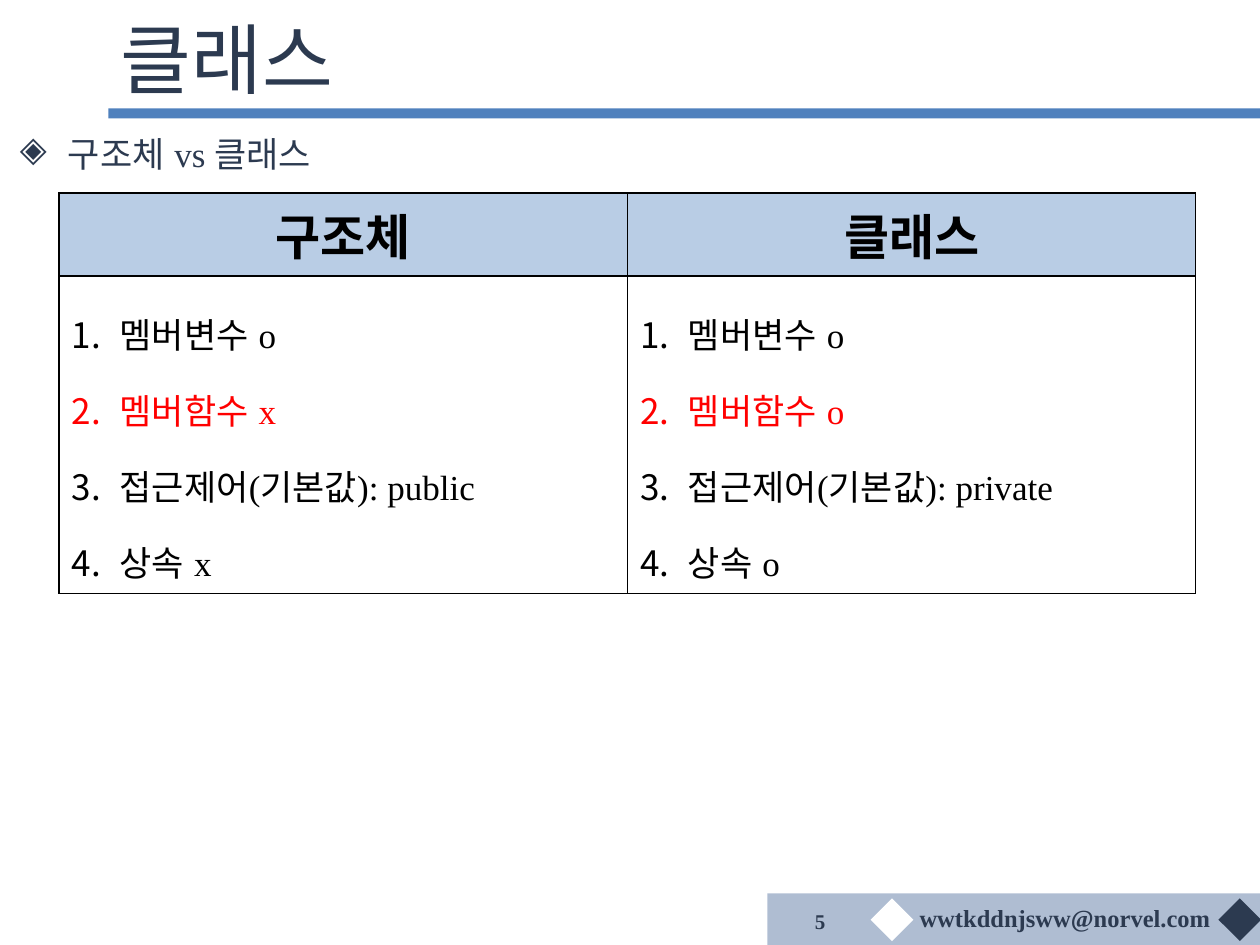
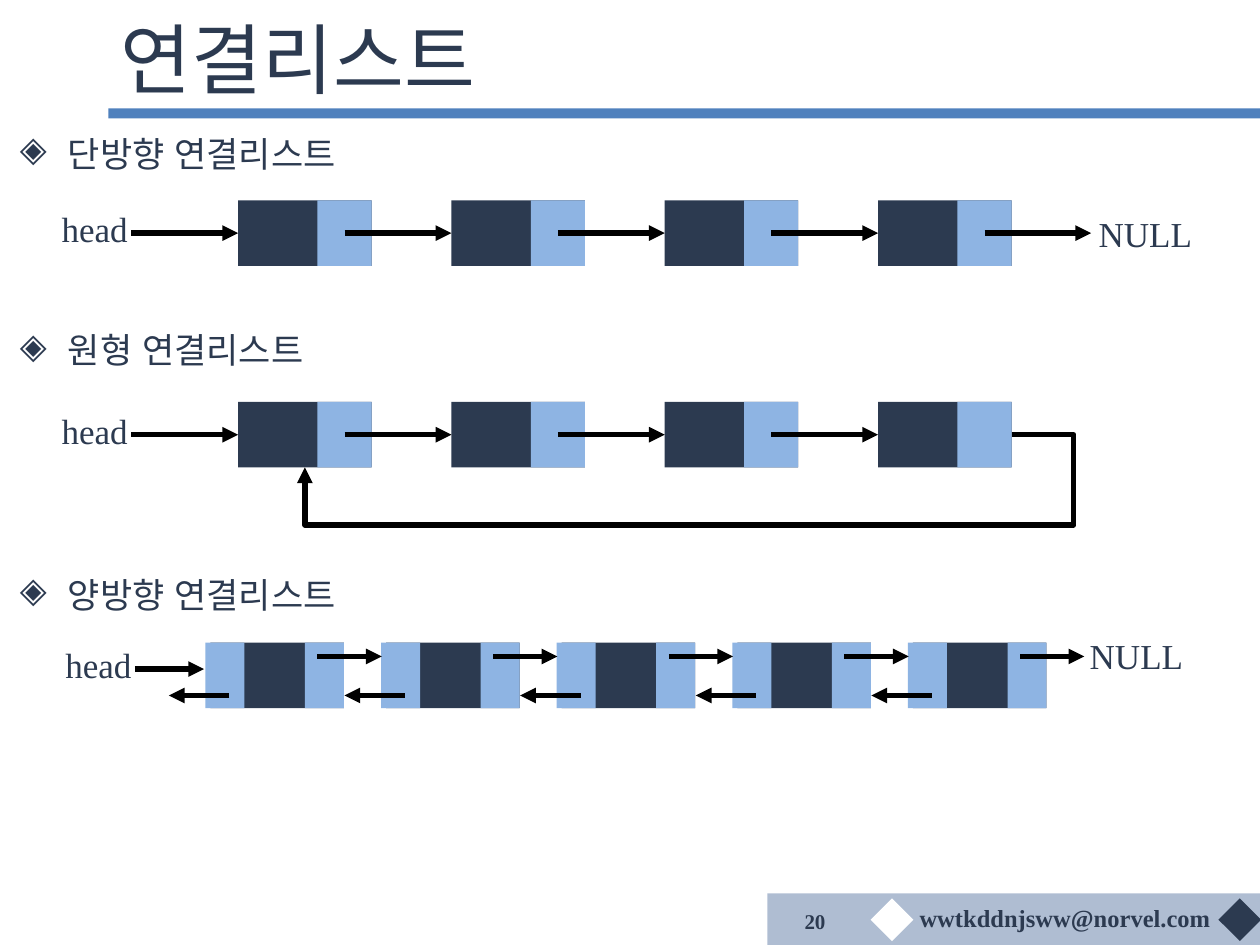
from dataclasses import dataclass

from lxml import etree
from pptx import Presentation
from pptx import util as u
from pptx.dml.color import RGBColor
from pptx.enum import lang, shapes, text
from pptx.oxml import ns


@dataclass(frozen=True)
class Theme:
    font: str = "Times New Roman"
    navy: str = "2C3A50"
    rule: str = "4F81BD"
    footer: str = "788FB4"
    pointer: str = "8EB4E3"
    header: str = "B9CDE5"
    black: str = "000000"
    white: str = "FFFFFF"
    red: str = "FF0000"
    title_size: int = 44
    header_size: int = 28
    body_size: int = 20
    email_size: int = 14
    page_size: int = 12


theme = Theme()
presentation = Presentation()
presentation.slide_width = u.Inches(10)
presentation.slide_height = u.Inches(7.5)

# Every length below counts columns (100 across) or rows (75 down).
COLUMN = presentation.slide_width // 100
ROW = presentation.slide_height // 75


def place(slide, left, top, width, height, fill=None):
    """Add a filled rectangle, or a text box when there is no fill."""
    frame = [round(left * COLUMN), round(top * ROW), round(width * COLUMN), round(height * ROW)]
    if fill is None:
        return slide.shapes.add_textbox(*frame)
    shape = slide.shapes.add_shape(shapes.MSO_SHAPE.RECTANGLE, *frame)
    shape.shadow.inherit = False
    shape.fill.solid()
    shape.fill.fore_color.rgb = RGBColor.from_string(fill)
    shape.line.fill.background()
    return shape


def write(paragraph, words, size, colour=theme.navy, bold=False, bullet=None):
    """Add one run; bullet is a symbol, or "1." for automatic numbers."""
    run = paragraph.add_run()
    run.text = words
    run.font.name = theme.font
    run.font.size = u.Pt(size)
    run.font.bold = bold
    run.font.color.rgb = RGBColor.from_string(colour)
    run.font.language_id = lang.MSO_LANGUAGE_ID.KOREAN
    if bullet:
        properties = paragraph._p.get_or_add_pPr()
        properties.set("marL", str(u.Inches(0.38)))
        properties.set("indent", str(-u.Inches(0.38)))
        if bullet == "1.":
            etree.SubElement(properties, ns.qn("a:buAutoNum"), type="arabicPeriod")
        else:
            etree.SubElement(properties, ns.qn("a:buChar"), char=bullet)


# Shared title, rule, footer and section headings
pages = [
    ("클래스", "5", [("구조체 vs 클래스", 10)]),
    ("연결리스트", "20", [("단방향 연결리스트", 10), ("원형 연결리스트", 25.6), ("양방향 연결리스트", 45)]),
]
slides = []
for title, number, headings in pages:
    slide = presentation.slides.add_slide(presentation.slide_layouts[6])
    slides.append(slide)
    place(slide, 8.6, 8.6, 91.4, 0.8, theme.rule)
    band = place(slide, 60.9, 70.9, 39.1, 4.1, theme.footer)
    band_colour = band.fill._xPr.find(".//" + ns.qn("a:srgbClr"))
    etree.SubElement(band_colour, ns.qn("a:alpha"), val="59000")
    for left, colour in [(97.2, theme.navy), (69.6, theme.white)]:
        place(slide, left, 71.8, 2.4, 2.4, colour).rotation = 45

    email = place(slide, 72, 71.2, 25.3, 3.4)
    email.text_frame.word_wrap = False
    email.text_frame.margin_right = 0
    write(email.text_frame.paragraphs[0], "wwtkddnjsww@norvel.com", theme.email_size, bold=True)

    page_number = place(slide, 61.8, 71.4, 4.7, 3.4)
    page_number.text_frame.word_wrap = True
    page_number.text_frame.vertical_anchor = text.MSO_ANCHOR.MIDDLE
    page_number.text_frame.paragraphs[0].alignment = text.PP_ALIGN.RIGHT
    write(page_number.text_frame.paragraphs[0], number, theme.page_size, bold=True)

    title_box = place(slide, 8.6, 0.7, 89.6, 7.7)
    title_box.text_frame.word_wrap = True
    title_box.text_frame.vertical_anchor = text.MSO_ANCHOR.MIDDLE
    write(title_box.text_frame.paragraphs[0], title, theme.title_size)

    for heading, top in headings:
        heading_box = place(slide, 0.6, top, 98.9, 4.5)
        heading_box.text_frame.word_wrap = True
        paragraph = heading_box.text_frame.paragraphs[0]
        paragraph.space_before = u.Pt(4)
        write(paragraph, heading, theme.body_size, bullet="◈")

comparison_slide, list_slide = slides

# Comparison table
comparison = {
    "구조체": ["멤버변수 o", "멤버함수 x", "접근제어(기본값): public", "상속 x"],
    "클래스": ["멤버변수 o", "멤버함수 o", "접근제어(기본값): private", "상속 o"],
}
table = comparison_slide.shapes.add_table(
    2, 2, round(4.7 * COLUMN), round(15.3 * ROW), round(90.2 * COLUMN), round(31.8 * ROW)
).table
for row, height in zip(table.rows, [6.6, 25.2]):
    row.height = round(height * ROW)

for column, (heading, features) in enumerate(comparison.items()):
    header_cell, feature_cell = table.cell(0, column), table.cell(1, column)
    for cell, fill in [(header_cell, theme.header), (feature_cell, theme.white)]:
        cell.vertical_anchor = text.MSO_ANCHOR.MIDDLE
        cell.fill.solid()
        cell.fill.fore_color.rgb = RGBColor.from_string(fill)
        properties = cell._tc.get_or_add_tcPr()
        for position, side in enumerate(["lnL", "lnR", "lnT", "lnB"]):
            border = etree.Element(ns.qn("a:" + side), w=str(u.Pt(1)))
            border_fill = etree.SubElement(border, ns.qn("a:solidFill"))
            etree.SubElement(border_fill, ns.qn("a:srgbClr"), val=theme.black)
            properties.insert(position, border)

    paragraph = header_cell.text_frame.paragraphs[0]
    paragraph.alignment = text.PP_ALIGN.CENTER
    write(paragraph, heading, theme.header_size, theme.black, bold=True)
    for index, feature in enumerate(features):
        frame = feature_cell.text_frame
        paragraph = frame.add_paragraph() if index else frame.paragraphs[0]
        paragraph.line_spacing = 1.5
        colour = theme.red if feature.startswith("멤버함수") else theme.black
        write(paragraph, feature, theme.body_size, colour, bullet="1.")

# Linked lists: each arrow is (start x, start y, end x, end y, node it joins)
NODE_WIDTH, NODE_HEIGHT = 10.6, 5.2
arrows = []

# Singly linked and circular lists
FIRST_NODE, NODE_STEP, POINTER_WIDTH = 18.9, 16.93, 4.3
for top, circular in [(15.9, False), (31.9, True)]:
    middle = top + NODE_HEIGHT / 2
    nodes = []
    for index in range(4):
        left = FIRST_NODE + index * NODE_STEP
        node = place(list_slide, left, top, NODE_WIDTH, NODE_HEIGHT, theme.navy)
        nodes.append(node)
        pointer_left = left + NODE_WIDTH - POINTER_WIDTH
        last_pointer = place(list_slide, pointer_left, top, POINTER_WIDTH, NODE_HEIGHT, theme.pointer)
        start = 10.4 if index == 0 else left - NODE_STEP + NODE_WIDTH - POINTER_WIDTH / 2
        arrows.append((start, middle, left, middle, node))
    if circular:
        loop_back = list_slide.shapes.add_connector(shapes.MSO_CONNECTOR.ELBOW, 0, 0, 0, 0)
        loop_back.begin_connect(last_pointer, 3)
        loop_back.end_connect(nodes[0], 2)
        geometry = loop_back._element.spPr.find(ns.qn("a:prstGeom"))
        geometry.set("prst", "bentConnector4")
        guides = geometry.find(ns.qn("a:avLst"))
        if guides is None:
            guides = etree.SubElement(geometry, ns.qn("a:avLst"))
        for name, value in [("adj1", -8800), ("adj2", 276000)]:
            etree.SubElement(guides, ns.qn("a:gd"), name=name, fmla=f"val {value}")
    else:
        arrows.append((pointer_left + POINTER_WIDTH / 2, middle, 86.6, middle, None))

# Doubly linked list
FIRST_DOUBLE, DOUBLE_STEP, LINK_WIDTH, DOUBLE_TOP = 16.3, 13.94, 3.1, 51
for index in range(5):
    left = FIRST_DOUBLE + index * DOUBLE_STEP
    place(list_slide, left + 0.4, DOUBLE_TOP, NODE_WIDTH, NODE_HEIGHT, theme.navy)
    for link_left in (left, left + 0.4 + NODE_WIDTH - LINK_WIDTH):
        place(list_slide, link_left, DOUBLE_TOP, LINK_WIDTH, NODE_HEIGHT, theme.pointer)
    arrows.append((left + 8.9, DOUBLE_TOP + 1.1, left + 14, DOUBLE_TOP + 1.1, None))
    arrows.append((left + 1.9, DOUBLE_TOP + 4.2, left - 2.9, DOUBLE_TOP + 4.2, None))
arrows.append((10.7, 53.1, 16.2, 53.1, None))

connectors = [loop_back]
for start_x, start_y, end_x, end_y, node in arrows:
    arrow = list_slide.shapes.add_connector(
        shapes.MSO_CONNECTOR.STRAIGHT,
        round(start_x * COLUMN), round(start_y * ROW), round(end_x * COLUMN), round(end_y * ROW),
    )
    if node is not None:
        arrow.end_connect(node, 1)
    connectors.append(arrow)

for connector in connectors:
    connector.line.width = u.Pt(3)
    connector.line.color.rgb = RGBColor.from_string(theme.black)
    etree.SubElement(connector.line._get_or_add_ln(), ns.qn("a:tailEnd"), type="triangle")
    etree.SubElement(connector._element.spPr, ns.qn("a:effectLst"))

labels = [
    ("head", 3.9, 16, 7.3), ("NULL", 86.2, 16.4, 9.5),
    ("head", 3.9, 32, 7.3),
    ("head", 4.2, 50.6, 7.3), ("NULL", 85.5, 49.9, 9.5),
]
for words, left, top, width in labels:
    label = place(list_slide, left, top, width, 4.4)
    label.text_frame.word_wrap = False
    write(label.text_frame.paragraphs[0], words, theme.body_size)

presentation.save("out.pptx")
